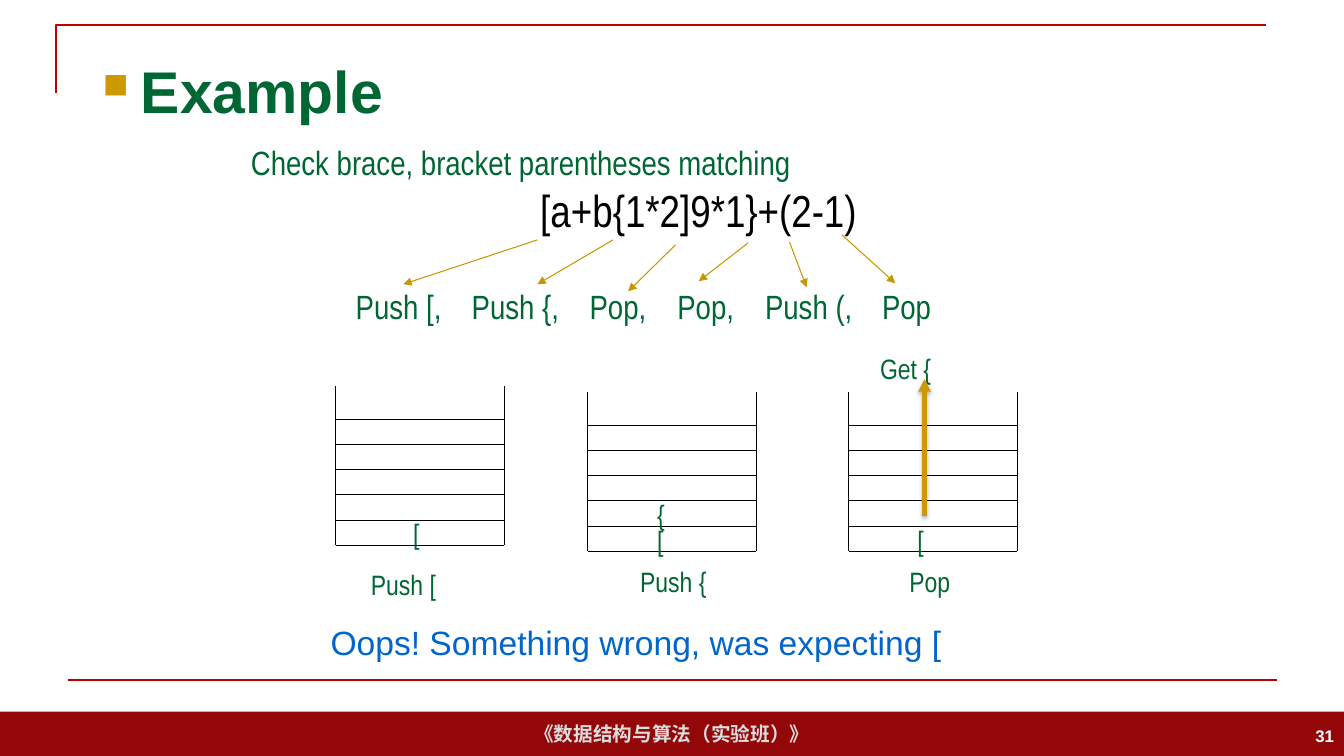
from dataclasses import dataclass

from lxml import etree
from pptx import Presentation
from pptx import util as u
from pptx.dml.color import RGBColor
from pptx.enum import shapes, text
from pptx.oxml import ns, parse_xml

GREEN = RGBColor(0x00, 0x66, 0x33)
BLUE = RGBColor(0x00, 0x66, 0xCC)
BLACK = RGBColor(0x00, 0x00, 0x00)
WHITE = RGBColor(0xFF, 0xFF, 0xFF)
PALE_GRAY = RGBColor(0xDD, 0xDD, 0xDD)
RED = RGBColor(0xC0, 0x00, 0x00)
DARK_RED = RGBColor(0x94, 0x07, 0x09)
GOLD = RGBColor(0xCC, 0x99, 0x00)
ARROW_GOLD = RGBColor(0xC8, 0x96, 0x00)

LEFT = text.PP_ALIGN.LEFT
CENTER = text.PP_ALIGN.CENTER
RIGHT = text.PP_ALIGN.RIGHT
TOP = text.MSO_ANCHOR.TOP
MIDDLE = text.MSO_ANCHOR.MIDDLE

STACK_WIDTH = 1.67
STACK_HEIGHT = 1.58
FIRST_DIVIDER = 0.33
CELL_HEIGHT = 0.25
DIVIDERS = 6
OPERATION_TABS = (1.15, 2.32, 3.19, 4.06, 5.22)

SHADOW = (
    f'<a:outerShdw {ns.nsdecls("a")} blurRad="39370" dist="22860" dir="5400000" '
    'rotWithShape="0"><a:srgbClr val="000000"><a:alpha val="35000"/></a:srgbClr>'
    '</a:outerShdw>'
)


@dataclass
class Line:
    x1: float
    y1: float
    x2: float
    y2: float
    color: RGBColor = BLACK
    width: float = 0.75
    arrow: bool = False
    shadow: bool = False


@dataclass
class Label:
    left: float
    top: float
    width: float
    height: float
    words: str
    size: float = 20
    font: str = "Arial Narrow"
    color: RGBColor = GREEN
    bold: bool = False
    align: text.PP_ALIGN = LEFT
    anchor: text.MSO_ANCHOR = TOP


@dataclass
class Stack:
    left: float
    top: float


STACKS = [Stack(3.33, 3.83), Stack(5.83, 3.89), Stack(8.42, 3.89)]

OPERATION_ARROWS = [
    Line(*ends, ARROW_GOLD, arrow=True)
    for ends in (
        (5.33, 2.38, 4, 2.82),
        (6.08, 2.38, 5.33, 2.82),
        (6.7, 2.43, 6.23, 2.89),
        (7.42, 2.41, 6.93, 2.79),
        (7.83, 2.4, 8, 2.85),
        (8.35, 2.33, 8.88, 2.81),
    )
]

STACK_LABELS = [
    Label(3.58, 5.58, 1.42, 0.44, "Push ["),
    Label(6.25, 5.55, 0.87, 0.44, "Push {"),
    Label(8.92, 5.55, 1, 0.44, "Pop"),
    Label(4, 5.08, 0.33, 0.44, "["),
    Label(6.42, 5.14, 0.33, 0.44, "["),
    Label(6.42, 4.89, 0.33, 0.44, "{"),
    Label(9, 5.14, 0.33, 0.44, "["),
    Label(8.63, 3.44, 1, 0.44, "Get {"),
]

OPERATIONS = Label(3.43, 2.79, 7, 0.5, "Push [,\tPush {,\tPop,\tPop,\tPush (,\tPop", 24)
EXPRESSION = Label(2.39, 1.36, 9.08, 1.04,
                   "Check brace, bracket parentheses matching\n[a+b{1*2]9*1}+(2-1)", 24)
VERDICT = Label(3.18, 6.12, 7.5, 0.5, "Oops! Something wrong, was expecting [",
                24, "Arial", BLUE)
TITLE = Label(0.92, 0.4, 11.5, 0.99, "Example", 42, "Arial", GREEN, True, anchor=MIDDLE)
PAGE_NUMBER = Label(10.33, 7.1, 3, 0.4, "31", 12, "Arial", WHITE, True, RIGHT, MIDDLE)
FOOTER = Label(0, 7.06, 13.33, 0.44, "《数据结构与算法（实验班）》",
               14, "Arial", PALE_GRAY, True, CENTER, MIDDLE)


def draw_line(parent, line: Line) -> None:
    connector = parent.add_connector(
        shapes.MSO_CONNECTOR.STRAIGHT,
        *(u.Inches(value) for value in (line.x1, line.y1, line.x2, line.y2)))
    connector.line.color.rgb = line.color
    connector.line.width = u.Pt(line.width)
    properties = connector._element.spPr
    if line.arrow:
        outline = properties.find(ns.qn("a:ln"))
        etree.SubElement(outline, ns.qn("a:tailEnd"), type="triangle")
    effects = etree.SubElement(properties, ns.qn("a:effectLst"))
    if line.shadow:
        effects.append(parse_xml(SHADOW))


def write_label(shape, label: Label) -> None:
    frame = shape.text_frame
    frame.word_wrap = True
    frame.vertical_anchor = label.anchor
    frame.text = label.words
    for paragraph in frame.paragraphs:
        paragraph.alignment = label.align
        for run in paragraph.runs:
            run.font.name = label.font
            run.font.size = u.Pt(label.size)
            run.font.bold = label.bold
            run.font.color.rgb = label.color


def draw_label(slide, label: Label):
    shape = slide.shapes.add_textbox(
        *(u.Inches(value) for value in (label.left, label.top, label.width, label.height)))
    write_label(shape, label)
    return shape


def draw_stack(slide, stack: Stack) -> None:
    group = slide.shapes.add_group_shape()
    right = stack.left + STACK_WIDTH
    bottom = stack.top + STACK_HEIGHT
    for x in (stack.left, right):
        draw_line(group.shapes, Line(x, stack.top, x, bottom))
    for index in range(DIVIDERS):
        y = stack.top + FIRST_DIVIDER + index * CELL_HEIGHT
        draw_line(group.shapes, Line(stack.left, y, right, y))


def draw_frame(slide) -> None:
    footer = slide.shapes.add_shape(
        shapes.MSO_SHAPE.RECTANGLE, u.Inches(FOOTER.left), u.Inches(FOOTER.top),
        u.Inches(FOOTER.width), u.Inches(FOOTER.height))
    footer.shadow.inherit = False
    footer.fill.solid()
    footer.fill.fore_color.rgb = DARK_RED
    footer.line.fill.background()
    write_label(footer, FOOTER)

    builder = slide.shapes.build_freeform(u.Inches(0.56), u.Inches(0.92))
    builder.add_line_segments(
        [(u.Inches(0.56), u.Inches(0.25)), (u.Inches(12.56), u.Inches(0.25))], close=False)
    corner = builder.convert_to_shape()
    corner.shadow.inherit = False
    corner.fill.background()
    corner.line.color.rgb = RED
    corner.line.width = u.Pt(1.5)
    draw_line(slide.shapes, Line(0.67, 6.75, 12.67, 6.75, RED, 1.5))


def draw_title(slide) -> None:
    paragraph = draw_label(slide, TITLE).text_frame.paragraphs[0]
    properties = paragraph._p.get_or_add_pPr()
    properties.set("marL", str(u.Inches(0.38)))
    properties.set("indent", str(u.Inches(-0.38)))
    color = etree.SubElement(properties, ns.qn("a:buClr"))
    etree.SubElement(color, ns.qn("a:srgbClr"), val=str(GOLD))
    etree.SubElement(properties, ns.qn("a:buSzPct"), val="60000")
    etree.SubElement(properties, ns.qn("a:buFont"), typeface="Wingdings")
    etree.SubElement(properties, ns.qn("a:buChar"), char="n")


def draw_operations(slide) -> None:
    paragraph = draw_label(slide, OPERATIONS).text_frame.paragraphs[0]
    tabs = etree.SubElement(paragraph._p.get_or_add_pPr(), ns.qn("a:tabLst"))
    for position in OPERATION_TABS:
        etree.SubElement(tabs, ns.qn("a:tab"), pos=str(u.Inches(position)), algn="l")


def draw_expression(slide) -> None:
    paragraph = draw_label(slide, EXPRESSION).text_frame.paragraphs[1]
    paragraph.alignment = CENTER
    paragraph.runs[0].font.size = u.Pt(32)
    paragraph.runs[0].font.color.rgb = BLACK


def main() -> None:
    presentation = Presentation()
    presentation.slide_width = u.Inches(13.33)
    presentation.slide_height = u.Inches(7.5)
    slide = presentation.slides.add_slide(presentation.slide_layouts[6])
    draw_frame(slide)
    draw_operations(slide)
    for stack in STACKS:
        draw_stack(slide, stack)
    for label in STACK_LABELS:
        draw_label(slide, label)
    draw_expression(slide)
    draw_label(slide, VERDICT)
    draw_title(slide)
    draw_line(slide.shapes, Line(9.17, 5.12, 9.17, 3.76, GOLD, 3, True, True))
    draw_label(slide, PAGE_NUMBER)
    for arrow in OPERATION_ARROWS:
        draw_line(slide.shapes, arrow)
    presentation.save("out.pptx")


if __name__ == "__main__":
    main()
